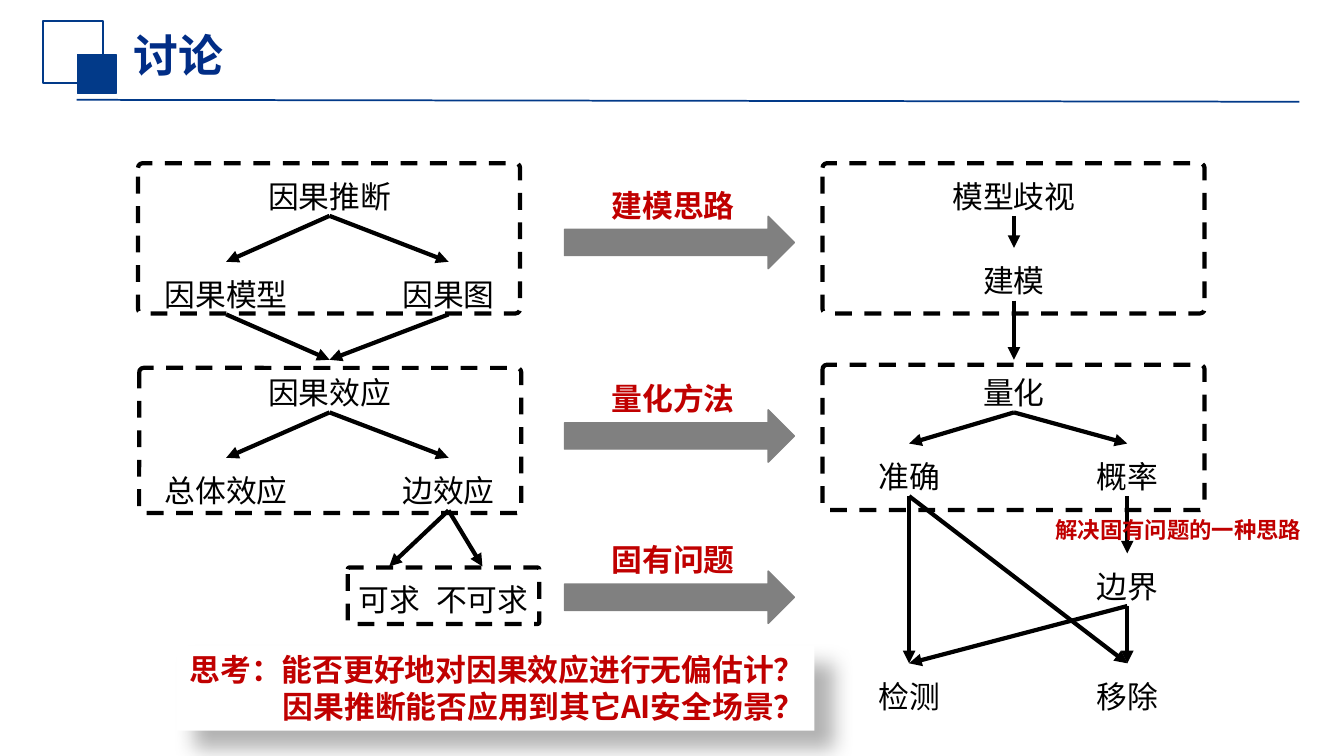
from lxml import etree
from pptx import Presentation
from pptx import util as u
from pptx.dml.color import RGBColor
from pptx.enum import dml, shapes, text
from pptx.oxml import parse_xml
from pptx.oxml.ns import nsdecls, qn

Pt = u.Pt

# Content: each node is (words, centre x, top)
TITLE = "讨论"
NODES = [
    ("因果推断", 235.4, 116.6), ("因果模型", 161.6, 187), ("因果图", 320.4, 187),
    ("因果效应", 235.4, 257), ("总体效应", 161.6, 327), ("边效应", 320.4, 327),
    ("可求", 278, 404.6), ("不可求", 344.6, 404.6),
    ("模型歧视", 724.3, 116.6), ("建模", 724.3, 177.1), ("量化", 724.3, 257),
    ("准确", 649.4, 316.8), ("概率", 805.2, 316.8), ("边界", 805.2, 395.3),
    ("检测", 649.4, 473.8), ("移除", 805.2, 473.8),
]
FLOWS = {
    "因果推断": ["因果模型", "因果图"],
    "因果模型": ["因果效应"],
    "因果图": ["因果效应"],
    "因果效应": ["总体效应", "边效应"],
    "边效应": ["可求", "不可求"],
    "模型歧视": ["建模"],
    "建模": ["量化"],
    "量化": ["准确", "概率"],
    "概率": ["边界"],
    "准确": ["检测", "移除"],
    "边界": ["检测", "移除"],
}
FRAMES = [
    (98.6, 116.6, 272.9, 107.3), (587.5, 116.6, 272.9, 107.3),
    (99.4, 262.8, 272.9, 103.7), (587.5, 260.6, 272.9, 103.7),
    (248.4, 405.4, 136.8, 40.3),
]
BRIDGES = [("建模思路", 129.6), ("量化方法", 267.8), ("固有问题", 383)]
SIDE_NOTE = "解决固有问题的一种思路"
QUESTIONS = ["思考：能否更好地对因果效应进行无偏估计？", "因果推断能否应用到其它AI安全场景？"]

THEME = {
    "font": "Noto Sans CJK SC",
    "navy": "023A89", "title": ("012D86", "0E2557"),
    "ink": "000000", "red": "C00000", "grey": "808080", "white": "FFFFFF",
    "title_size": 32, "body_size": 22, "note_size": 16,
}
NODE_HEIGHT = 37.6
LABEL_WIDTH = 260.6

deck = Presentation()
deck.slide_width, deck.slide_height = Pt(960), Pt(540)
page = deck.slides.add_slide(deck.slide_layouts[6])


def color(name):
    return RGBColor.from_string(THEME[name])


def apply(target, values):
    for name, value in values.items():
        setattr(target, name, value)


def write(box, lines, size, ink="ink", bold=False, align="LEFT", spacing=None,
          anchor="TOP", wrap=True, fit="SHAPE_TO_FIT_TEXT"):
    frame = box.text_frame
    apply(frame, {"word_wrap": wrap,
                  "vertical_anchor": getattr(text.MSO_ANCHOR, anchor),
                  "auto_size": getattr(text.MSO_AUTO_SIZE, fit)})
    for index, line in enumerate(lines):
        para = frame.add_paragraph() if index else frame.paragraphs[0]
        apply(para, {"alignment": getattr(text.PP_ALIGN, align), "line_spacing": spacing})
        span = para.add_run()
        span.text = line
        apply(span.font, {"size": Pt(size), "bold": bold, "name": THEME["font"]})
        span.font.color.rgb = color(ink)
        east_asian = etree.SubElement(span.font._element, qn("a:ea"))
        east_asian.set("typeface", THEME["font"])


def add_text(place, lines, size, **style):
    box = page.shapes.add_textbox(*map(Pt, place))
    write(box, lines, size, **style)
    return box


def add_block(kind, place, fill=None, line=None, width=1):
    block = page.shapes.add_shape(getattr(shapes.MSO_SHAPE, kind), *map(Pt, place))
    block.shadow.inherit = False
    if fill:
        block.fill.solid()
        block.fill.fore_color.rgb = color(fill)
    else:
        block.fill.background()
    if line:
        block.line.color.rgb = color(line)
        block.line.width = Pt(width)
    else:
        block.line.fill.background()
    return block


def add_line(start, end, ink, width, arrow=False):
    line = page.shapes.add_connector(shapes.MSO_CONNECTOR.STRAIGHT, *map(Pt, start + end))
    line.line.color.rgb = color(ink)
    line.line.width = Pt(width)
    if arrow:
        etree.SubElement(line.line._get_or_add_ln(), qn("a:tailEnd")).set("type", "triangle")
    etree.SubElement(line._element.spPr, qn("a:effectLst"))


# Heading
add_line((54.7, 71.3), (928.1, 72.7), "navy", 1.25)
add_block("RECTANGLE", (31, 15.1, 42.5, 43.9), line="navy", width=1.5)
add_block("RECTANGLE", (55.4, 38.9, 27.4, 28.1), fill="navy", line="navy")
heading = add_text((88.6, 15.8, 828, 51.1), [TITLE], THEME["title_size"],
                   bold=True, spacing=0.9, anchor="MIDDLE", fit="NONE")
heading_fill = heading.text_frame.paragraphs[0].runs[0].font.fill
heading_fill.gradient()
heading_fill.gradient_angle = 0
for stop, shade in zip(heading_fill.gradient_stops, THEME["title"]):
    stop.color.rgb = RGBColor.from_string(shade)

# Nodes, each as wide as its words
spots = {}
for words, centre, top in NODES:
    width = len(words) * THEME["body_size"] + 14.4
    add_text((centre - width / 2, top, width, NODE_HEIGHT), [words],
             THEME["body_size"], align="CENTER", spacing=1.25, wrap=False)
    spots[words] = (centre, top)

# Arrows run from the foot of one node to the top of the next
for source, targets in FLOWS.items():
    centre, top = spots[source]
    for target in targets:
        add_line((centre, top + NODE_HEIGHT), spots[target], "ink", 3, arrow=True)

# Dashed frames
for place in FRAMES:
    frame = add_block("ROUNDED_RECTANGLE", place, line="ink", width=3)
    frame.adjustments[0] = 0.03
    frame.line.dash_style = dml.MSO_LINE.DASH

# Labelled block arrows between the two sides
for words, top in BRIDGES:
    add_block("RIGHT_ARROW", (403.2, top + 24.9, 164.2, 37.4), fill="grey", line="grey")
    add_text((350.6, top, LABEL_WIDTH, 33.8), [words], THEME["body_size"],
             ink="red", bold=True, align="CENTER")

add_text((711.4, 365, LABEL_WIDTH, 26.6), [SIDE_NOTE], THEME["note_size"],
         ink="red", bold=True, align="CENTER")

# Closing questions on a raised card
card = add_block("RECTANGLE", (126, 461.5, 455.8, 60.5), fill="white")
write(card, QUESTIONS, THEME["body_size"], ink="red", bold=True, align="RIGHT")
effects = card._element.spPr.find(qn("a:effectLst"))
effects.append(parse_xml(
    f'<a:outerShdw {nsdecls("a")} blurRad="{Pt(15)}" dist="{Pt(18)}" dir="2700000" '
    f'algn="tl" rotWithShape="0"><a:srgbClr val="{THEME["ink"]}">'
    '<a:alpha val="30000"/></a:srgbClr></a:outerShdw>'))

deck.save("out.pptx")
